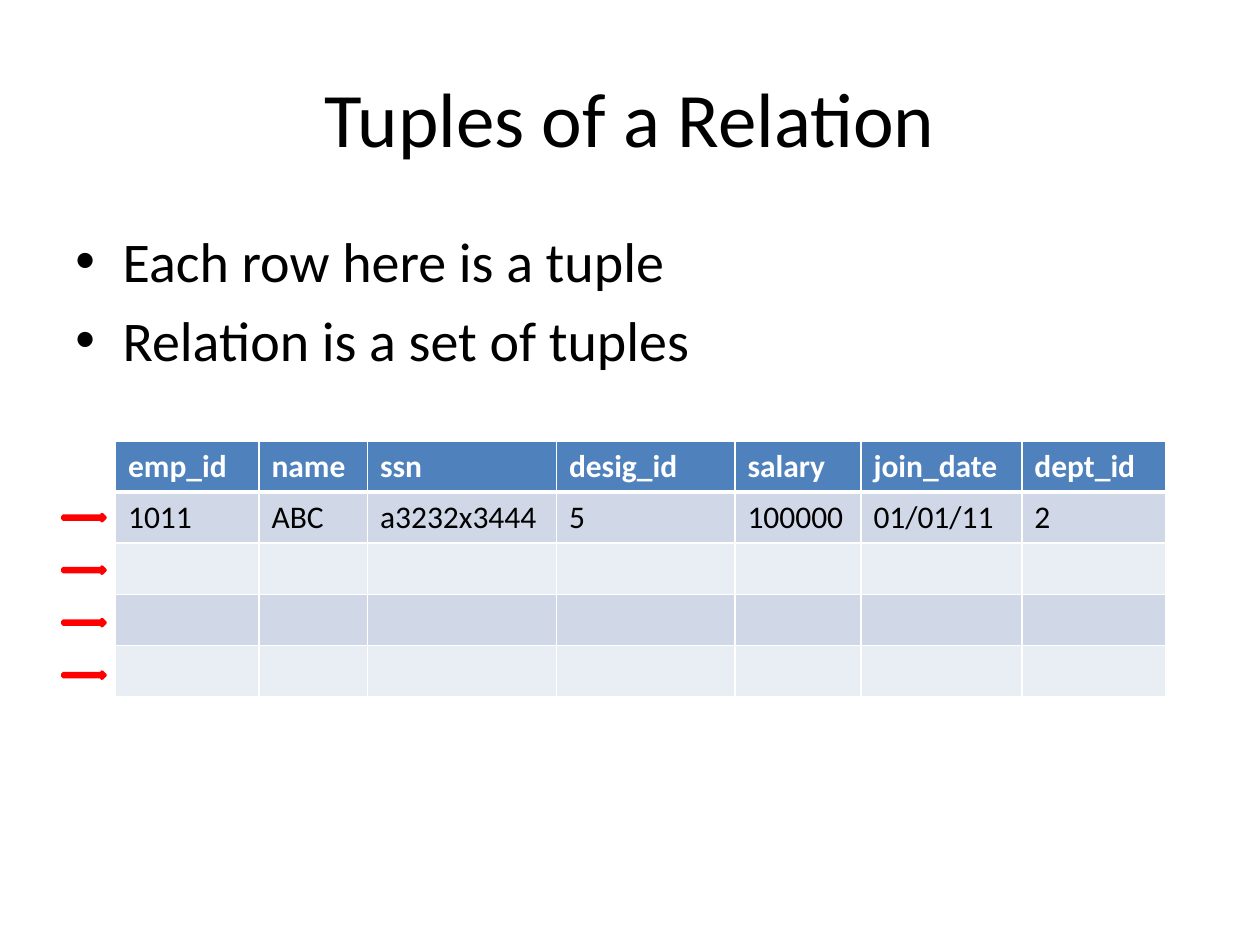
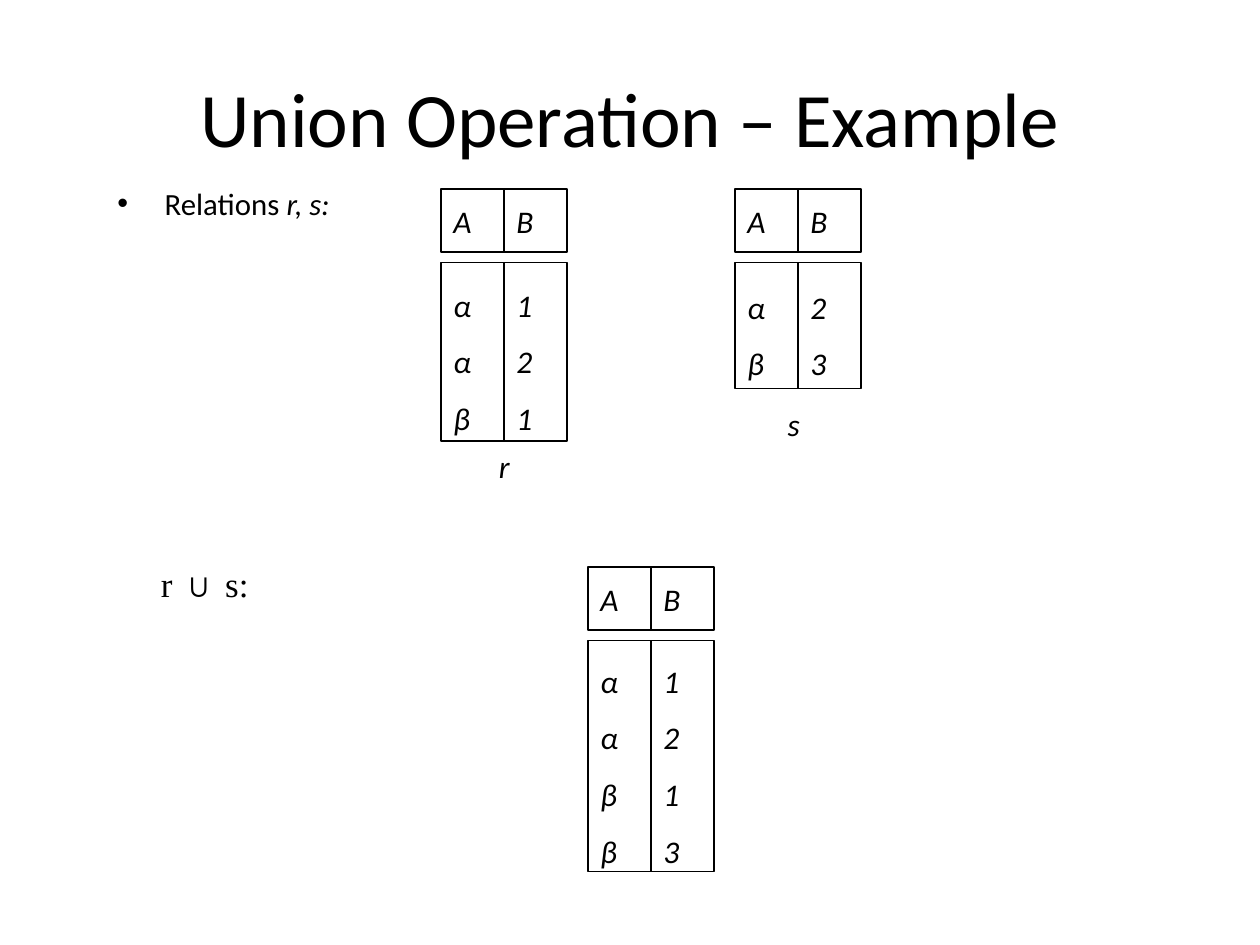
import dataclasses

import lxml.etree
import pptx
import pptx.dml.color
import pptx.enum.shapes
import pptx.enum.text
import pptx.oxml.ns
import pptx.util

Pt = pptx.util.Pt
Color = pptx.dml.color.RGBColor.from_string
qn = pptx.oxml.ns.qn
Align = pptx.enum.text.PP_ALIGN
Anchor = pptx.enum.text.MSO_ANCHOR
Shape = pptx.enum.shapes.MSO_SHAPE


@dataclasses.dataclass(frozen=True)
class Theme:
    ink: str = "000000"
    paper: str = "FFFFFF"
    accent: str = "4F81BD"
    marker: str = "FF0000"
    bands: tuple = ("D0D8E8", "E9EDF4")
    font: str = "Calibri"
    serif: str = "Times New Roman"
    title_size: float = 44
    body_size: float = 32
    small_size: float = 17.6
    formula_size: float = 20
    cell_size: float = 18
    indent: float = 27


theme = Theme()


def write_text(frame, lines, size, color=theme.ink, bullet=False, para_format=None, **span_format):
    for index, line in enumerate(lines):
        para = frame.paragraphs[0] if index == 0 else frame.add_paragraph()
        for name, value in (para_format or {}).items():
            setattr(para, name, value)
        if bullet:
            properties = para._p.get_or_add_pPr()
            properties.set("marL", str(Pt(theme.indent)))
            properties.set("indent", str(-Pt(theme.indent)))
            lxml.etree.SubElement(properties, qn("a:buFont"), typeface="Arial")
            lxml.etree.SubElement(properties, qn("a:buChar"), char="•")
        for text, extra in line:
            span = para.add_run()
            span.text = text
            values = {"name": theme.font, "size": Pt(size), **span_format, **extra}
            for name, value in values.items():
                setattr(span.font, name, value)
            span.font.color.rgb = Color(color)


def add_shape(page, kind, place, fill, line, width):
    box = page.shapes.add_shape(kind, *map(Pt, place))
    box.shadow.inherit = False
    box.fill.solid()
    box.fill.fore_color.rgb = Color(fill)
    box.line.color.rgb = Color(line)
    box.line.width = Pt(width)
    return box


deck = pptx.Presentation()
deck.slide_width, deck.slide_height = Pt(720), Pt(540)

pages = []
for heading in ("Tuples of a Relation", "Union Operation – Example"):
    page = deck.slides.add_slide(deck.slide_layouts[5])
    title = page.shapes.title
    place = {"left": 36, "top": 21.6, "width": 648, "height": 90}
    for name, value in place.items():
        setattr(title, name, Pt(value))
    title.text_frame.vertical_anchor = Anchor.MIDDLE
    write_text(title.text_frame, [[(heading, {})]], theme.title_size,
               para_format={"alignment": Align.CENTER})
    pages.append(page)
tuples_page, union_page = pages

points = [[("Each row here is a tuple", {})], [("Relation is a set of tuples", {})]]
relations = [[("Relations ", {}), ("r, s:", {"italic": True})]]
for page, place, lines, size in (
    (tuples_page, (36, 126, 648, 356.4), points, theme.body_size),
    (union_page, (60, 102, 554, 26), relations, theme.small_size),
):
    body = page.shapes.add_textbox(*map(Pt, place))
    body.text_frame.word_wrap = True
    write_text(body.text_frame, lines, size, bullet=True,
               para_format={"space_before": Pt(round(size * 0.2, 1))})

for index, fill in enumerate([theme.marker] * 2 + [theme.accent] * 2):
    add_shape(tuples_page, Shape.RIGHT_ARROW, (36, 294 + 30 * index, 24, 3.6),
              fill, theme.marker, 2)

header = ["emp_id", "name", "ssn", "desig_id", "salary", "join_date", "dept_id"]
employee = ["1011", "ABC", "a3232x3444", "5", "100000", "01/01/11", "2"]
rows = [header, employee] + [[""] * len(header)] * 3
column_widths = [82, 62, 108, 102, 72, 92, 82]
row_height = 29.2
table = tuples_page.shapes.add_table(
    len(rows), len(header), Pt(66), Pt(252),
    Pt(sum(column_widths)), Pt(row_height * len(rows))).table
for column, width in zip(table.columns, column_widths):
    column.width = Pt(width)
for row_index, values in enumerate(rows):
    table.rows[row_index].height = Pt(row_height)
    is_header = row_index == 0
    edges = {"L": 1, "R": 1, "T": 3 if row_index == 1 else 1, "B": 3 if is_header else 1}
    for column_index, value in enumerate(values):
        cell = table.cell(row_index, column_index)
        properties = cell._tc.get_or_add_tcPr()
        for side, width in edges.items():
            edge = lxml.etree.SubElement(properties, qn("a:ln" + side), w=str(Pt(width)))
            solid = lxml.etree.SubElement(edge, qn("a:solidFill"))
            lxml.etree.SubElement(solid, qn("a:srgbClr"), val=theme.paper)
        cell.fill.solid()
        cell.fill.fore_color.rgb = Color(
            theme.accent if is_header else theme.bands[(row_index - 1) % 2])
        if value:
            write_text(cell.text_frame, [[(value, {})]], theme.cell_size,
                       theme.paper if is_header else theme.ink, bold=is_header)

formula = union_page.shapes.add_textbox(Pt(60), Pt(318), Pt(554), Pt(26))
formula.text_frame.word_wrap = True
formula.text_frame.margin_left = Pt(32)
write_text(formula.text_frame, [[("r ∪ s:", {})]], theme.formula_size,
           para_format={"space_before": Pt(7)}, name=theme.serif)

cell_side = 36
for left, top, height, columns in (
    (252, 108, 102, {"A": "ααβ", "B": "121"}),
    (420, 108, 72, {"A": "αβ", "B": "23"}),
    (336, 324, 132, {"A": "ααββ", "B": "1213"}),
):
    for index, (attribute, values) in enumerate(columns.items()):
        x = left + cell_side * index
        for y, box_height, letters, spacing in (
            (top, cell_side, attribute, 1.0),
            (top + 42, height, values, 1.5),
        ):
            box = add_shape(union_page, Shape.RECTANGLE, (x, y, cell_side, box_height),
                            theme.paper, theme.ink, 0.75)
            box.text_frame.vertical_anchor = Anchor.MIDDLE
            box.text_frame.word_wrap = True
            write_text(box.text_frame, [[(letter, {})] for letter in letters],
                       theme.cell_size, italic=True,
                       para_format={"alignment": Align.LEFT, "line_spacing": spacing})

for name, left, top, width in (("r", 278, 252, 20), ("s", 443, 228, 24)):
    label = union_page.shapes.add_textbox(Pt(left), Pt(top), Pt(width), Pt(29))
    label.text_frame.word_wrap = False
    label.text_frame.vertical_anchor = Anchor.MIDDLE
    write_text(label.text_frame, [[(name, {})]], theme.cell_size, italic=True,
               para_format={"space_before": Pt(9)})

deck.save("out.pptx")
